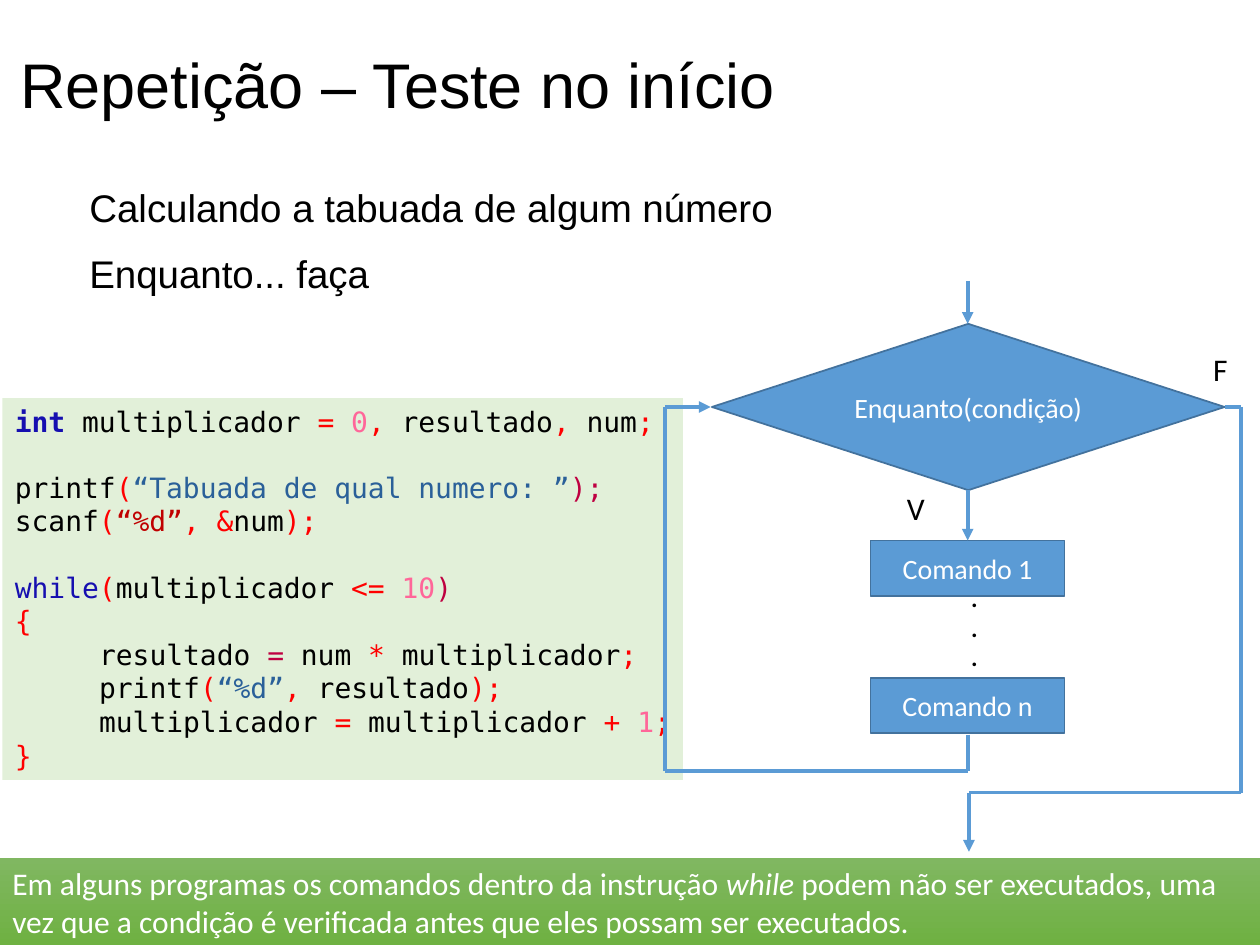
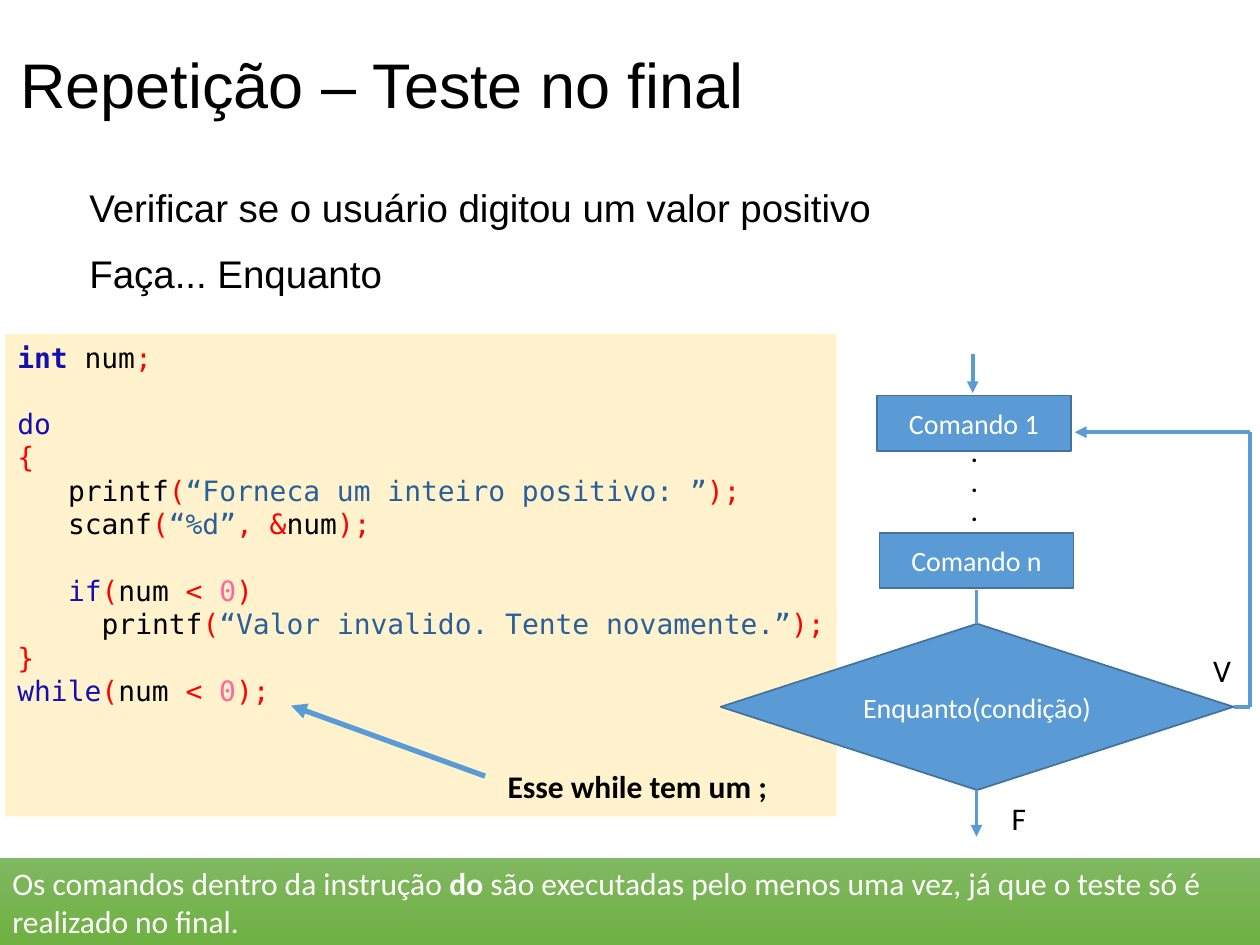
from lxml.etree import SubElement as Sub
from pptx import Presentation
from pptx.dml.color import RGBColor as Rgb
from pptx.enum.shapes import MSO_CONNECTOR as Link, MSO_SHAPE as Kind
from pptx.enum.text import MSO_ANCHOR as Anchor, PP_ALIGN as Align
from pptx.oxml.ns import qn
from pptx.util import Emu, Pt

PX = 9144
HUES = {
    "ink": "000000", "white": "FFFFFF", "blue": "5B9BD5", "edge": "43729D",
    "key": "160FB0", "sign": "FF0000", "num": "FF6699", "str": "2A6099",
    "wine": "BF0041", "brick": "C00000", "mint": "E2F0D9", "cream": "FFF2CC",
    "top": "80B761", "base": "6FB142",
}
SANS, BODY, MONO = "Arial", "Calibri", "DejaVu Sans Mono"
CHAR = 13.38
ROW = 18.6
PAD = (10, 5, 10, 5)
NONE = (0, 0, 0, 0)


def px(n):
    return Emu(round(n * PX))


def hue(name):
    return Rgb.from_string(HUES[name])


def add_run(para, text, size, font, tone="ink", look=""):
    run = para.add_run()
    run.text = text
    face = run.font
    face.size, face.name = Pt(size), font
    face.color.rgb = hue(tone)
    face.bold, face.italic = "b" in look, "i" in look


def set_frame(shape, pad, anchor=Anchor.TOP, wrap=True):
    frame = shape.text_frame
    frame.word_wrap, frame.vertical_anchor = wrap, anchor
    (frame.margin_left, frame.margin_top,
     frame.margin_right, frame.margin_bottom) = map(px, pad)
    return frame


def add_text(slide, box, lines, size, font, look="", pad=PAD,
             anchor=Anchor.TOP, wrap=False, gap=0, pitch=1.0):
    shape = slide.shapes.add_textbox(*map(px, box))
    frame = set_frame(shape, pad, anchor, wrap)
    for i, line in enumerate(lines):
        para = frame.add_paragraph() if i else frame.paragraphs[0]
        para.space_before, para.line_spacing = Pt(gap), pitch
        add_run(para, line, size, font, look=look)


def add_box(slide, kind, box, fill=None, edge=None):
    shape = slide.shapes.add_shape(kind, *map(px, box))
    shape.shadow.inherit = False
    if fill:
        shape.fill.solid()
        shape.fill.fore_color.rgb = hue(fill)
    if edge:
        shape.line.color.rgb = hue(edge)
        shape.line.width = Pt(1)
    else:
        shape.line.fill.background()
    return shape


def add_node(slide, kind, box, text):
    shape = add_box(slide, kind, box, "blue", "edge")
    para = set_frame(shape, NONE, Anchor.MIDDLE).paragraphs[0]
    para.alignment = Align.CENTER
    add_run(para, text, 16, BODY, "white")


def add_path(slide, left, top, spots, arrow=True, width=2.25):
    for i, (start, end) in enumerate(zip(spots, spots[1:]), 2):
        ends = [px(left + start[0]), px(top + start[1]),
                px(left + end[0]), px(top + end[1])]
        line = slide.shapes.add_connector(Link.STRAIGHT, *ends)
        line.line.color.rgb = hue("blue")
        line.line.width = Pt(width)
        props = line.element.spPr
        if arrow and i == len(spots):
            Sub(props.find(qn("a:ln")), qn("a:tailEnd"), type="triangle")
        Sub(props, qn("a:effectLst"))


def add_head(slide, box, title, lines):
    left, top, wide, _ = box
    add_text(slide, (left, top, wide, 106), [title], 36, SANS,
             pad=NONE, anchor=Anchor.MIDDLE, wrap=True)
    add_text(slide, (left + 55, top + 137, wide - 62, 90), lines, 22, SANS,
             pad=NONE, wrap=True, gap=14.1, pitch=0.9)


def add_code(slide, box, fill, rows):
    frame = set_frame(add_box(slide, Kind.RECTANGLE, box, fill), (10, 5, 0, 5))
    for i, (dent, skip, runs) in enumerate(rows):
        para = frame.add_paragraph() if i else frame.paragraphs[0]
        para.alignment = Align.LEFT
        para.space_before = Pt(skip * ROW)
        if dent:
            para._p.get_or_add_pPr().set("marL", str(px(dent * CHAR)))
        for text, tone, *look in runs:
            add_run(para, text, 16, MONO, tone, *look)


def add_steps(slide, left, top, shift, dots):
    add_node(slide, Kind.RECTANGLE, (left, top, 154, 44), "Comando 1")
    add_text(slide, (left + dots, top + 29, 25, 80), "...", 14, BODY, "b")
    add_node(slide, Kind.RECTANGLE, (left + shift, top + 109, 154, 44),
             "Comando n")


def add_test(slide, left, top):
    add_node(slide, Kind.FLOWCHART_DECISION, (left, top, 407, 132),
             "Enquanto(condição)")


def add_mark(slide, left, top, text):
    add_text(slide, (left, top, 34, 40), [text], 18, BODY)


def flow_first(slide, box):
    left, top, wide, high = box
    mid = 240
    add_test(slide, left + 37, top + 34)
    add_steps(slide, left + 163, top + 206, 0, 70)
    for spots in (
        [(mid, 0), (mid, 34)],
        [(mid, 166), (mid, 206)],
        [(mid, 360), (mid, 389), (0, 389), (0, 100), (36, 100)],
        [(444, 100), (wide, 100), (wide, 406), (mid + 1, 406),
         (mid + 1, high)],
    ):
        add_path(slide, left, top, spots)
    add_mark(slide, left + 182, top + 160, "V")
    add_mark(slide, left + 425, top + 50, "F")


def flow_last(slide, box):
    left, top, wide, high = box
    mid = 203
    add_test(slide, left, top + 214)
    add_steps(slide, left + 124, top + 33, 2, 65)
    add_path(slide, left, top, [(mid - 3, 0), (mid - 3, 31)])
    add_path(slide, left, top, [(mid, 187), (mid, 214)], arrow=False)
    add_path(slide, left, top, [(mid, 346), (mid, high)])
    add_path(slide, left, top,
             [(407, 280), (wide, 280), (wide, 62), (281, 62)])
    add_mark(slide, left + 221, top + 348, "F")
    add_mark(slide, left + 381, top + 231, "V")


def add_note(slide, box):
    left, top, wide, _ = box
    add_path(slide, left, top, [(154, 56), (0, 0)], width=3)
    add_text(slide, (left + 162, top + 44, wide - 162, 40),
             ["Esse while tem um ;"], 18, BODY, "b")


def add_foot(slide, box, runs):
    shape = add_box(slide, Kind.RECTANGLE, box)
    shape.fill.gradient()
    shape.fill.gradient_angle = 270
    for stop, tone, spot in zip(shape.fill.gradient_stops,
                                ("top", "base"), (0, 1)):
        stop.color.rgb = hue(tone)
        stop.position = spot
    para = set_frame(shape, PAD).paragraphs[0]
    para.alignment = Align.LEFT
    for text, look in runs:
        add_run(para, text, 18, BODY, "white", look)


FIRST = [
    (0, 0, [("int ", "key", "b"), ("multiplicador ", "ink"), ("= ", "sign"),
            ("0", "num"), (",", "sign"), (" resultado", "ink"),
            (",", "sign"), (" num", "ink"), (";", "sign")]),
    (0, 1, [("printf", "ink"), ("(", "sign"),
            ("“Tabuada de qual numero: ”", "str"), (");", "wine")]),
    (0, 0, [("scanf", "ink"), ("(", "sign"), ("“%d”", "brick"),
            (", &", "sign"), ("num", "ink"), (");", "sign")]),
    (0, 1, [("while", "key"), ("(", "sign"), ("multiplicador ", "ink"),
            ("<= ", "sign"), ("10", "num"), (")", "wine")]),
    (0, 0, [("{", "sign")]),
    (5, 0, [("resultado ", "ink"), ("=", "wine"), (" num ", "ink"),
            ("*", "sign"), (" multiplicador", "ink"), (";", "sign")]),
    (5, 0, [("printf", "ink"), ("(", "sign"), ("“%d”", "str"),
            (",", "sign"), (" resultado", "ink"), (");", "sign")]),
    (5, 0, [("multiplicador", "ink"), (" =", "sign"),
            (" multiplicador ", "ink"), ("+ ", "sign"), ("1", "num"),
            (";", "sign")]),
    (0, 0, [("}", "sign")]),
]
LAST = [
    (0, 0, [("int ", "key", "b"), ("num", "ink"), (";", "sign")]),
    (0, 1, [("do", "key")]),
    (0, 0, [("{", "sign")]),
    (3, 0, [("printf", "ink"), ("(", "sign"),
            ("“Forneca um inteiro positivo: ”", "str"), (");", "sign")]),
    (3, 0, [("scanf", "ink"), ("(", "sign"), ("“%d”", "str"),
            (", &", "sign"), ("num", "ink"), (");", "sign")]),
    (3, 1, [("if", "key"), ("(", "sign"), ("num ", "ink"), ("< ", "sign"),
            ("0", "num"), (")", "sign")]),
    (5, 0, [("printf", "ink"), ("(", "sign"),
            ("“Valor invalido. Tente novamente.”", "str"), (");", "sign")]),
    (0, 0, [("}", "sign")]),
    (0, 0, [("while", "key"), ("(", "sign"), ("num ", "ink"), ("< ", "sign"),
            ("0", "num"), (");", "sign")]),
]
HEAD = (16, 13, 976, 230)
FOOT = (0, 681, 1000, 69)


def main():
    deck = Presentation()
    deck.slide_width, deck.slide_height = px(1000), px(750)
    blank = deck.slide_layouts[6]

    slide = deck.slides.add_slide(blank)
    add_head(slide, HEAD, "Repetição – Teste no início",
             ["Calculando a tabuada de algum número", "Enquanto... faça"])
    add_code(slide, (2, 316, 540, 303), "mint", FIRST)
    flow_first(slide, (528, 223, 457, 453))
    add_foot(slide, FOOT, [
        ("Em alguns programas os comandos dentro da instrução ", ""),
        ("while", "i"),
        (" podem não ser executados, uma vez que a condição é verificada"
         " antes que eles possam ser executados.", "")])

    slide = deck.slides.add_slide(blank)
    add_head(slide, HEAD, "Repetição – Teste no final",
             ["Verificar se o usuário digitou um valor positivo",
              "Faça... Enquanto"])
    add_code(slide, (4, 265, 660, 383), "cream", LAST)
    flow_last(slide, (572, 281, 420, 383))
    add_note(slide, (231, 560, 388, 84))
    add_foot(slide, FOOT, [
        ("Os comandos dentro da instrução ", ""), ("do", "b"),
        (" são executadas pelo menos uma vez, já que o teste só é"
         " realizado no final.", "")])

    deck.save("out.pptx")


if __name__ == "__main__":
    main()
